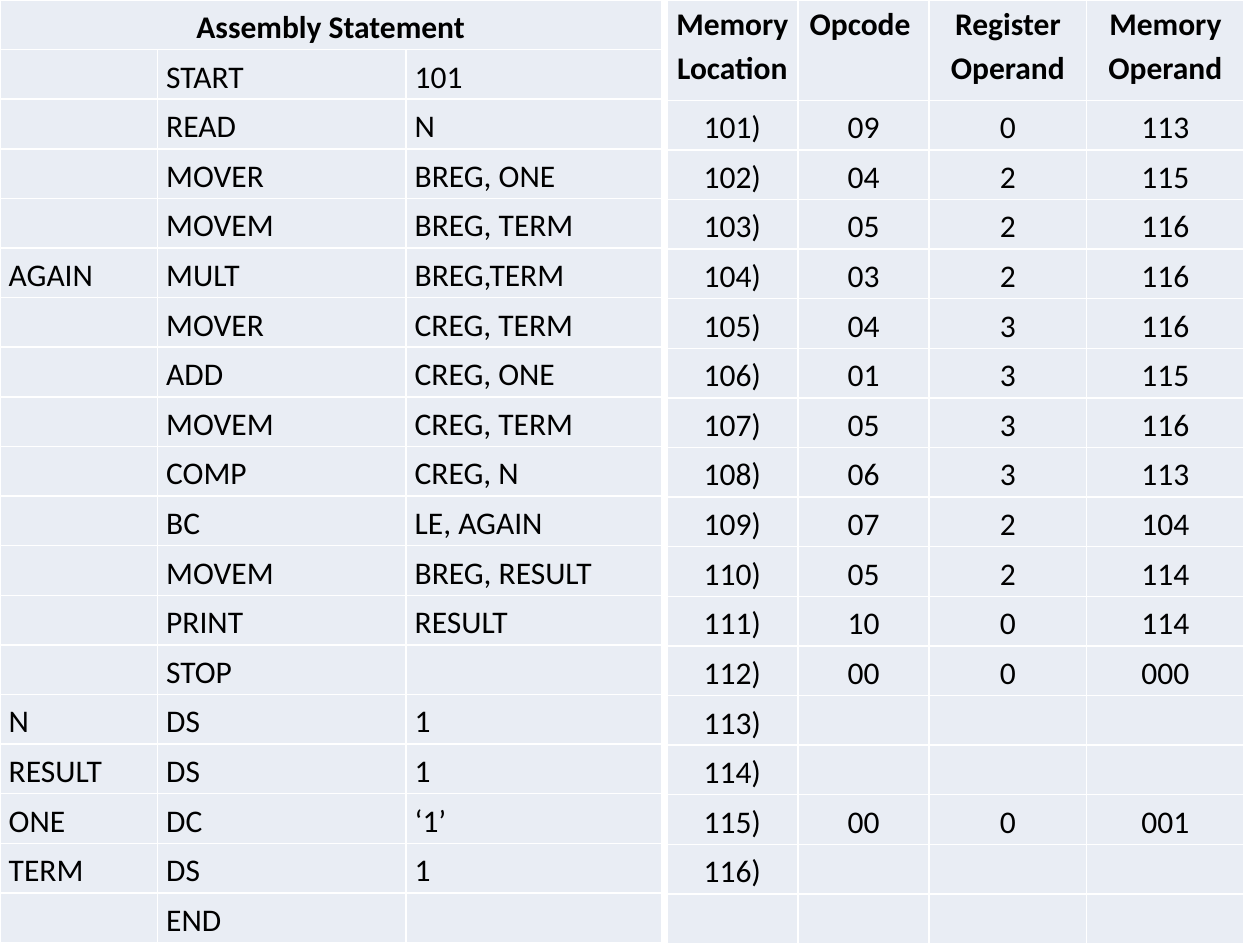
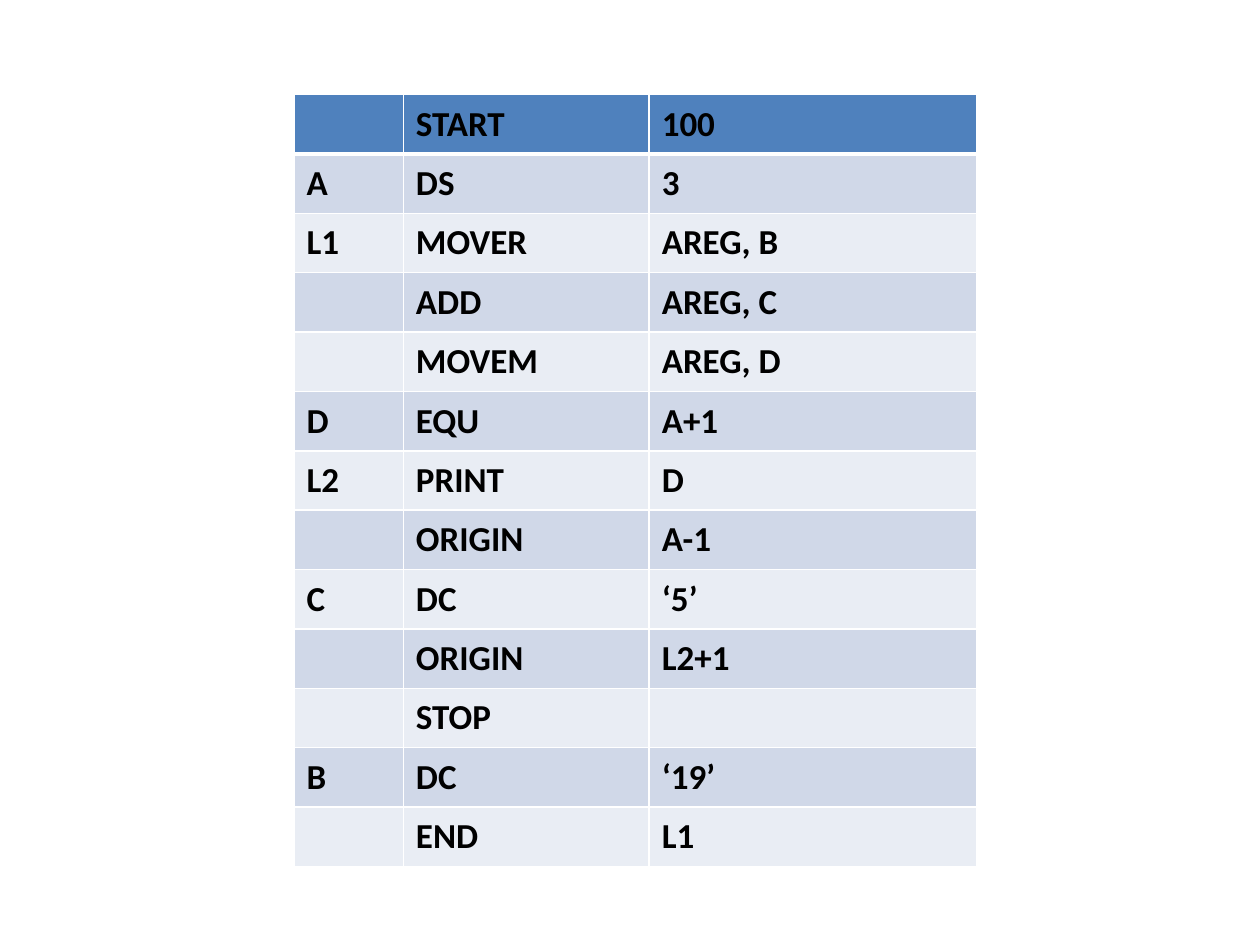
import pptx
import pptx.dml.color
import pptx.enum.text
import pptx.oxml.ns
import pptx.util
from lxml import etree

Pt = pptx.util.Pt
RGBColor = pptx.dml.color.RGBColor
PP_ALIGN = pptx.enum.text.PP_ALIGN
MSO_ANCHOR = pptx.enum.text.MSO_ANCHOR

BLACK = RGBColor(0x00, 0x00, 0x00)
WHITE = RGBColor(0xFF, 0xFF, 0xFF)
HEADER_BLUE = RGBColor(0x4F, 0x81, 0xBD)
DARK_BAND = RGBColor(0xD0, 0xD8, 0xE8)
LIGHT_BAND = RGBColor(0xE9, 0xED, 0xF4)
FONT = "Calibri"


def add_border(cell, side, width):
    """Draw one white edge; side is L, R, T or B. Call before setting the fill."""
    qn = pptx.oxml.ns.qn
    line = etree.SubElement(cell._tc.get_or_add_tcPr(), qn("a:ln" + side), w=str(Pt(width)))
    solid = etree.SubElement(line, qn("a:solidFill"))
    etree.SubElement(solid, qn("a:srgbClr"), val=str(WHITE))


def add_grid(slide, left, top, widths, heights, rows, size, fills,
             bold_rows, align, margins, spacing=None, header_rule=1):
    """Add a white-ruled table with one fill per row."""
    table = slide.shapes.add_table(len(rows), len(widths), Pt(left), Pt(top),
                                   Pt(sum(widths)), Pt(sum(heights))).table
    table.first_row = table.horz_banding = False
    for column, width in zip(table.columns, widths):
        column.width = Pt(width)
    for r, texts in enumerate(rows):
        table.rows[r].height = Pt(heights[r])
        for c, text in enumerate(texts):
            cell = table.cell(r, c)
            for side in "LRTB":
                on_rule = (r, side) in ((0, "B"), (1, "T"))
                add_border(cell, side, header_rule if on_rule else 1)
            cell.fill.solid()
            cell.fill.fore_color.rgb = fills[r]
            cell.margin_left = cell.margin_right = Pt(margins[0])
            cell.margin_top = cell.margin_bottom = Pt(margins[1])
            cell.vertical_anchor = MSO_ANCHOR.MIDDLE
            cell.text_frame.text = text
            paragraph = cell.text_frame.paragraphs[0]
            paragraph.alignment = align
            paragraph.line_spacing = spacing
            for run in paragraph.runs:
                run.font.name = FONT
                run.font.size = Pt(size)
                run.font.bold = r in bold_rows
                run.font.color.rgb = BLACK
    return table


presentation = pptx.Presentation()
presentation.slide_width = Pt(720)
presentation.slide_height = Pt(540)
blank = presentation.slide_layouts[6]

# Slide 1: assembly program beside its machine code
statements = [
    ("Assembly Statement", "", ""),
    ("", "START", "101"),
    ("", "READ", "N"),
    ("", "MOVER", "BREG, ONE"),
    ("", "MOVEM", "BREG, TERM"),
    ("AGAIN", "MULT", "BREG,TERM"),
    ("", "MOVER", "CREG, TERM"),
    ("", "ADD", "CREG, ONE"),
    ("", "MOVEM", "CREG, TERM"),
    ("", "COMP", "CREG, N"),
    ("", "BC", "LE, AGAIN"),
    ("", "MOVEM", "BREG, RESULT"),
    ("", "PRINT", "RESULT"),
    ("", "STOP", ""),
    ("N", "DS", "1"),
    ("RESULT", "DS", "1"),
    ("ONE", "DC", "‘1’"),
    ("TERM", "DS", "1"),
    ("", "END", ""),
]
instructions = [
    ("09", "0", "113"),
    ("04", "2", "115"),
    ("05", "2", "116"),
    ("03", "2", "116"),
    ("04", "3", "116"),
    ("01", "3", "115"),
    ("05", "3", "116"),
    ("06", "3", "113"),
    ("07", "2", "104"),
    ("05", "2", "114"),
    ("10", "0", "114"),
    ("00", "0", "000"),
    ("", "", ""),
    ("", "", ""),
    ("00", "0", "001"),
    ("", "", ""),
]
machine_code = [("Memory Location", "Opcode ", "Register Operand", "Memory Operand")]
for location, instruction in enumerate(instructions, start=101):
    machine_code.append((f"{location})", *instruction))
machine_code.append(("", "", "", ""))

row_height = 28.35
code_style = dict(size=18, bold_rows=[0], margins=(5, 0), spacing=1.15)
translation = presentation.slides.add_slide(blank)
assembly = add_grid(translation, 0, 0, [90, 142, 146], [row_height] * len(statements),
                    statements, fills=[LIGHT_BAND] * len(statements),
                    align=PP_ALIGN.LEFT, **code_style)
assembly.cell(0, 0).merge(assembly.cell(0, 2))
assembly.cell(0, 0).text_frame.paragraphs[0].alignment = PP_ALIGN.CENTER

machine = add_grid(translation, 381, 0, [75, 75, 90, 90],
                   [57.3] + [row_height] * (len(machine_code) - 1),
                   machine_code, fills=[LIGHT_BAND] * len(machine_code),
                   align=PP_ALIGN.CENTER, **code_style)
for heading in machine.rows[0].cells:
    heading.vertical_anchor = MSO_ANCHOR.TOP

# Slide 2: program with assembler directives
directives = [
    ("", "START", "100"),
    ("A", "DS", "3"),
    ("L1", "MOVER", "AREG, B"),
    ("", "ADD", "AREG, C"),
    ("", "MOVEM", "AREG, D"),
    ("D", "EQU", "A+1"),
    ("L2", "PRINT", "D"),
    ("", "ORIGIN", "A-1"),
    ("C", "DC", "‘5’"),
    ("", "ORIGIN", "L2+1"),
    ("", "STOP", ""),
    ("B", "DC", "‘19’"),
    ("", "END", "L1"),
]
exercise = presentation.slides.add_slide(blank)
add_grid(exercise, 168, 54, [62.5, 140.5, 187], [33.95] * len(directives), directives,
         size=20, fills=[HEADER_BLUE] + [DARK_BAND, LIGHT_BAND] * 6,
         bold_rows=range(len(directives)), align=PP_ALIGN.LEFT,
         margins=(7.2, 3.6), header_rule=3)

presentation.save("out.pptx")
